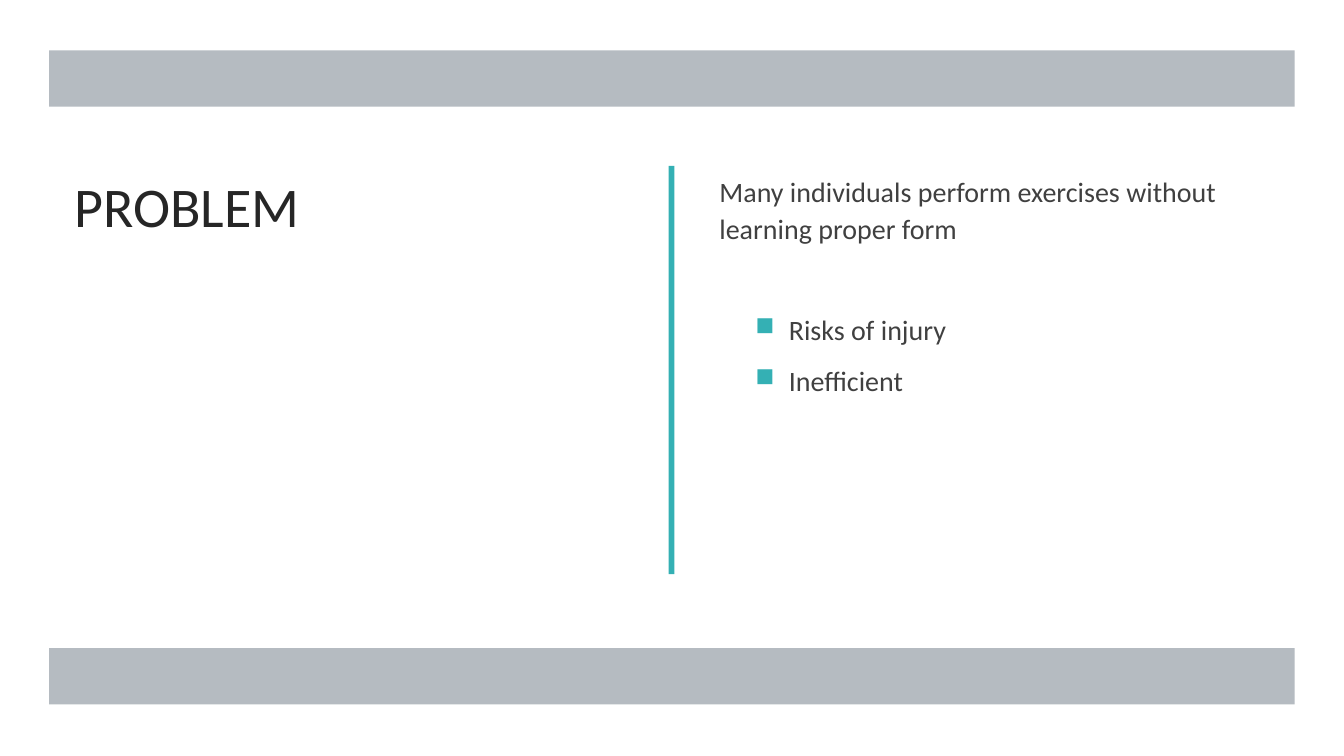
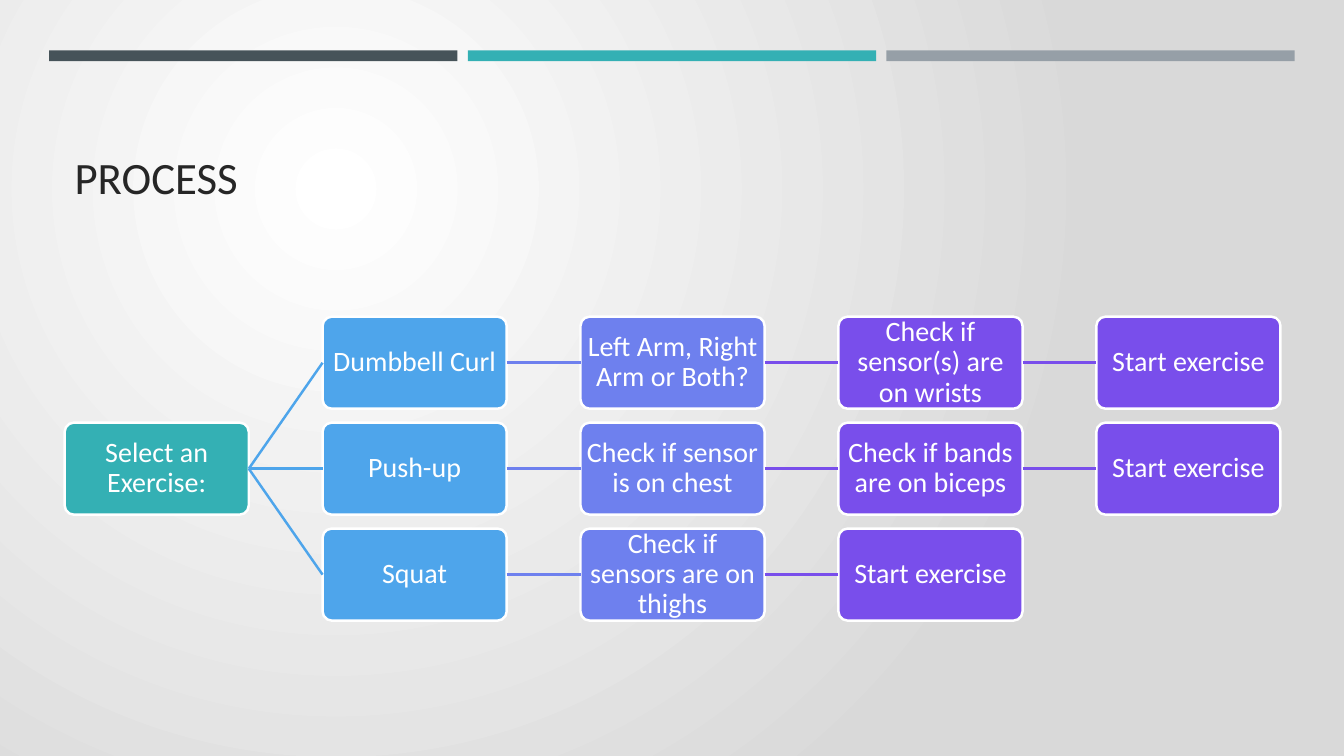
from lxml.etree import SubElement
from pptx import Presentation
from pptx.dml.color import RGBColor
from pptx.enum.shapes import MSO_CONNECTOR as Connector, MSO_SHAPE as Shape
from pptx.enum.text import MSO_ANCHOR as Anchor, PP_ALIGN as Align
from pptx.oxml.ns import qn
from pptx.util import Cm, Pt

FONT = "Calibri"
WHITE = RGBColor(0xFF, 0xFF, 0xFF)
PALE_GREY = RGBColor(0xD9, 0xD9, 0xD9)
GREY = RGBColor(0x96, 0x9F, 0xA7)
SLATE = RGBColor(0x46, 0x53, 0x59)
TEAL = RGBColor(0x34, 0xB0, 0xB4)
BLUE = RGBColor(0x4E, 0xA5, 0xEB)
INDIGO = RGBColor(0x6E, 0x80, 0xEE)
VIOLET = RGBColor(0x79, 0x4E, 0xEB)
TITLE_INK = RGBColor(0x26, 0x26, 0x26)
BODY_INK = RGBColor(0x40, 0x40, 0x40)

EDGE = 1.24  # left edge of all bars, cm
BAR_TOP = 1.27
BAR_LENGTH = 10.29
TEXT_LEFT = 1.63


def add_block(slide, kind, left, top, width, height, colour):
    """Add a filled shape without outline, measured in cm."""
    block = slide.shapes.add_shape(kind, Cm(left), Cm(top), Cm(width), Cm(height))
    block.shadow.inherit = False
    block.fill.solid()
    block.fill.fore_color.rgb = colour
    block.line.fill.background()
    return block


def add_run(para, text, size, colour):
    span = para.add_run()
    span.text = text
    span.font.name = FONT
    span.font.size = Pt(size)
    span.font.color.rgb = colour


deck = Presentation()
deck.slide_width = Cm(33.87)
deck.slide_height = Cm(19.05)
blank = deck.slide_layouts[6]
problem, process = [deck.slides.add_slide(blank) for _ in range(2)]

# Titles
for slide, text, size, top, width, height, anchor in [
    (problem, "PROBLEM", 40, 4.19, 14.22, 10.85, Anchor.TOP),
    (process, "PROCESS", 32, 1.96, 30.63, 3.3, Anchor.BOTTOM),
]:
    box = slide.shapes.add_textbox(Cm(TEXT_LEFT), Cm(top), Cm(width), Cm(height))
    box.text_frame.word_wrap = True
    box.text_frame.vertical_anchor = anchor
    add_run(box.text_frame.paragraphs[0], text, size, TITLE_INK)

# Problem: two translucent bands, a divider and the body text
for top in (BAR_TOP, 16.33):
    band = add_block(problem, Shape.RECTANGLE, EDGE, top, 31.39, 1.42, GREY)
    colour = band.element.spPr.find(qn("a:solidFill")).find(qn("a:srgbClr"))
    SubElement(colour, qn("a:alpha"), val="70000")
add_block(problem, Shape.RECTANGLE, 16.85, 4.18, 0.15, BAR_LENGTH, TEAL)

box = problem.shapes.add_textbox(Cm(17.88), Cm(4.19), Cm(13.39), Cm(10.85))
frame = box.text_frame
frame.word_wrap = True
for index, (text, bulleted, space_before) in enumerate([
    ("Many individuals perform exercises without learning proper form", False, 4),
    ("Risks of injury", True, 40),
    ("Inefficient", True, 4),
]):
    para = frame.add_paragraph() if index else frame.paragraphs[0]
    para.line_spacing = 1.1
    para.space_before = Pt(space_before)
    para.space_after = Pt(6)
    add_run(para, text, 20, BODY_INK)
    if bulleted:
        para.level = 1
        props = para._p.get_or_add_pPr()
        props.set("marL", str(Cm(1.75)))
        props.set("indent", str(Cm(-0.84)))
        bullet_colour = SubElement(props, qn("a:buClr"))
        SubElement(bullet_colour, qn("a:srgbClr"), val=str(TEAL))
        SubElement(props, qn("a:buSzPct"), val="92000")
        SubElement(props, qn("a:buChar"), char="■")

# Process: radial background and three bars
fill = process.background.fill
fill.gradient()
for stop, colour in zip(fill.gradient_stops, (WHITE, PALE_GREY)):
    stop.color.rgb = colour
gradient = process.element.find(".//" + qn("a:gradFill"))
gradient.remove(gradient.find(qn("a:lin")))
circle = SubElement(gradient, qn("a:path"), {"path": "circle"})
SubElement(circle, qn("a:fillToRect"), l="50000", t="50000", r="100000", b="100000")

for index, colour in enumerate((SLATE, TEAL, GREY)):
    add_block(process, Shape.RECTANGLE, EDGE + index * 10.55, BAR_TOP,
              BAR_LENGTH, 0.27, colour)

# Process: the tree of steps, as (column, row, text, index of parent)
STEP_COLOURS = [TEAL, BLUE, INDIGO, VIOLET, VIOLET]
COLUMN_PITCH, ROW_PITCH = 6.5, 2.67
STEPS = [(0, 1, "Select an Exercise:", None)]
for row, chain in enumerate([
    ["Dumbbell Curl", "Left Arm, Right Arm or Both?",
     "Check if sensor(s) are on wrists", "Start exercise"],
    ["Push-up", "Check if sensor is on chest",
     "Check if bands are on biceps", "Start exercise"],
    ["Squat", "Check if sensors are on thighs", "Start exercise"],
]):
    parent = 0
    for column, text in enumerate(chain, start=1):
        STEPS.append((column, row, text, parent))
        parent = len(STEPS) - 1

boxes = []
for column, row, text, parent in STEPS:
    colour = STEP_COLOURS[column]
    box = add_block(process, Shape.ROUNDED_RECTANGLE,
                    TEXT_LEFT + column * COLUMN_PITCH, 7.98 + row * ROW_PITCH,
                    4.64, 2.32, colour)
    box.adjustments[0] = 0.1
    box.line.color.rgb = WHITE
    box.line.width = Pt(1.75)
    frame = box.text_frame
    frame.word_wrap = True
    frame.vertical_anchor = Anchor.MIDDLE
    frame.margin_left = frame.margin_right = Cm(0.03)
    frame.margin_top = frame.margin_bottom = Cm(0.03)
    para = frame.paragraphs[0]
    para.alignment = Align.CENTER
    para.line_spacing = 0.9
    add_run(para, text, 20, WHITE)
    boxes.append(box)

    if parent is not None:
        link = process.shapes.add_connector(Connector.STRAIGHT, 0, 0, 0, 0)
        link.begin_connect(boxes[parent], 3)
        link.end_connect(box, 1)
        link.line.color.rgb = colour
        link.line.width = Pt(1.75)
        SubElement(link.element.spPr, qn("a:effectLst"))

deck.save("out.pptx")
